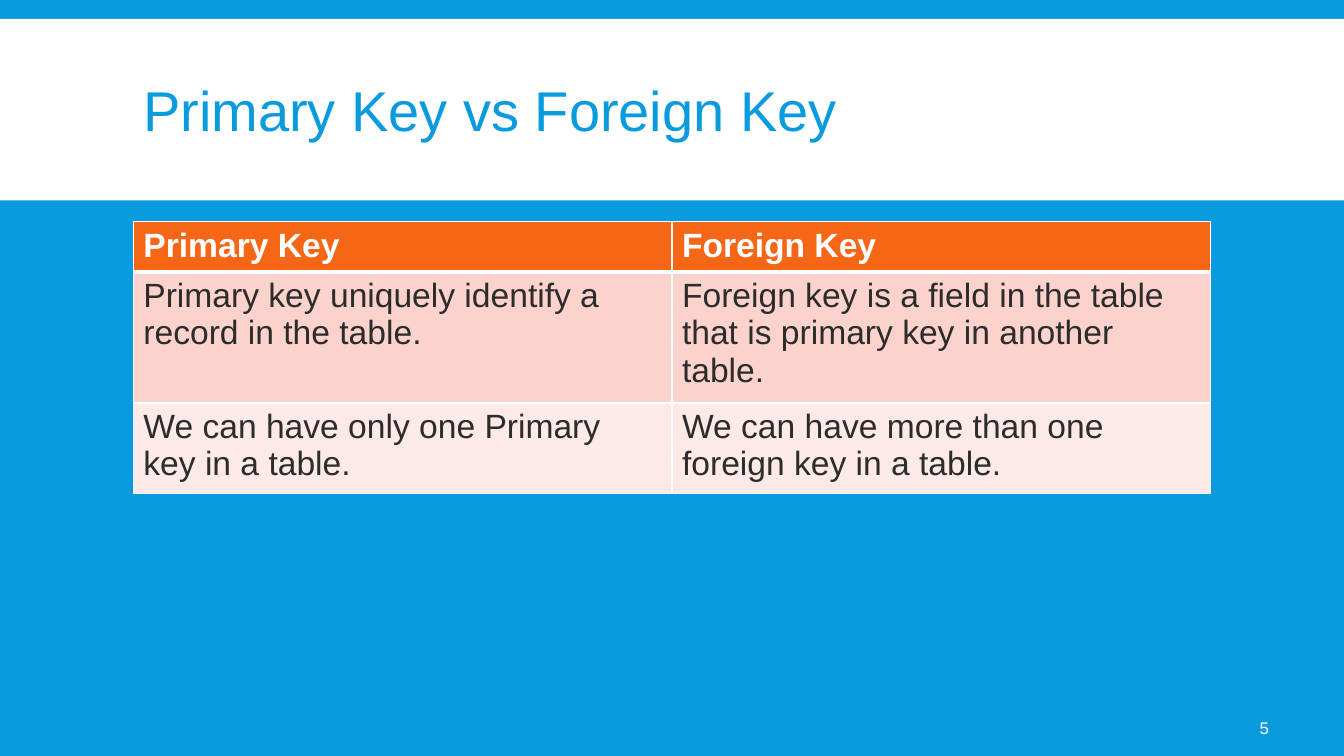
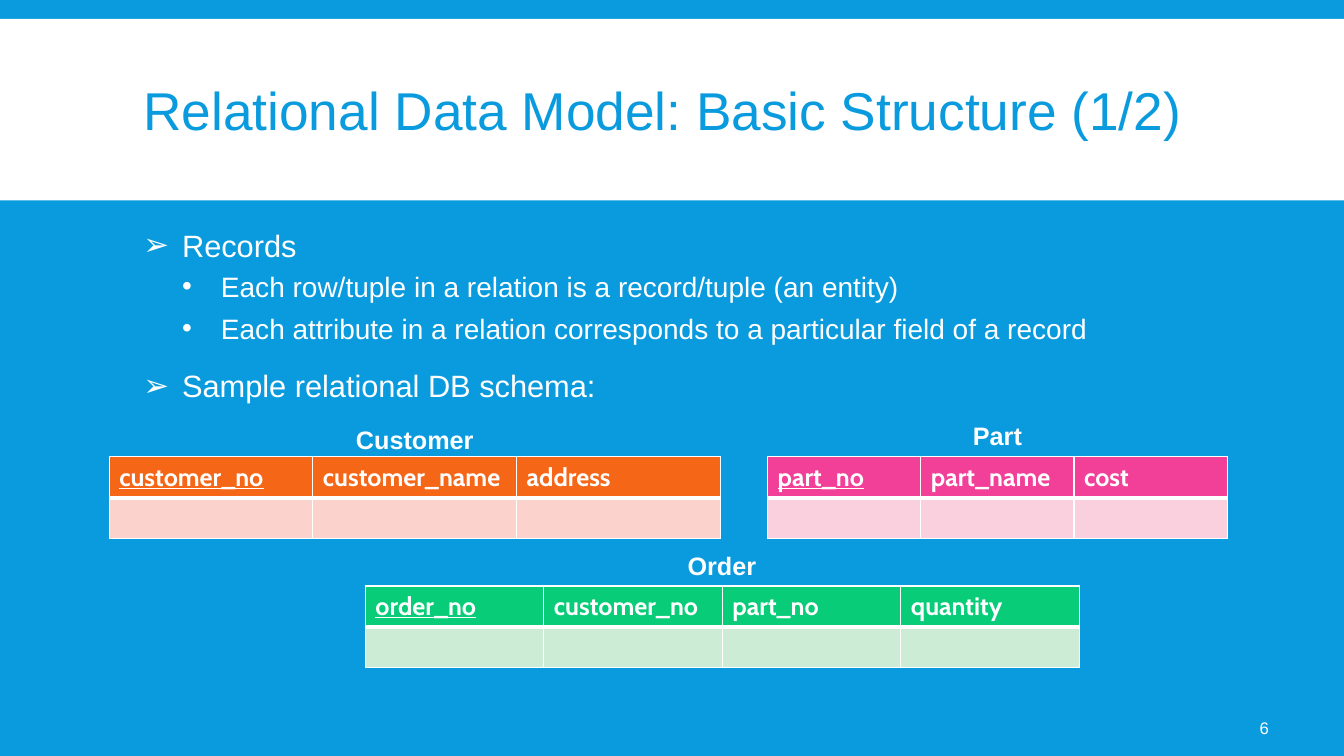
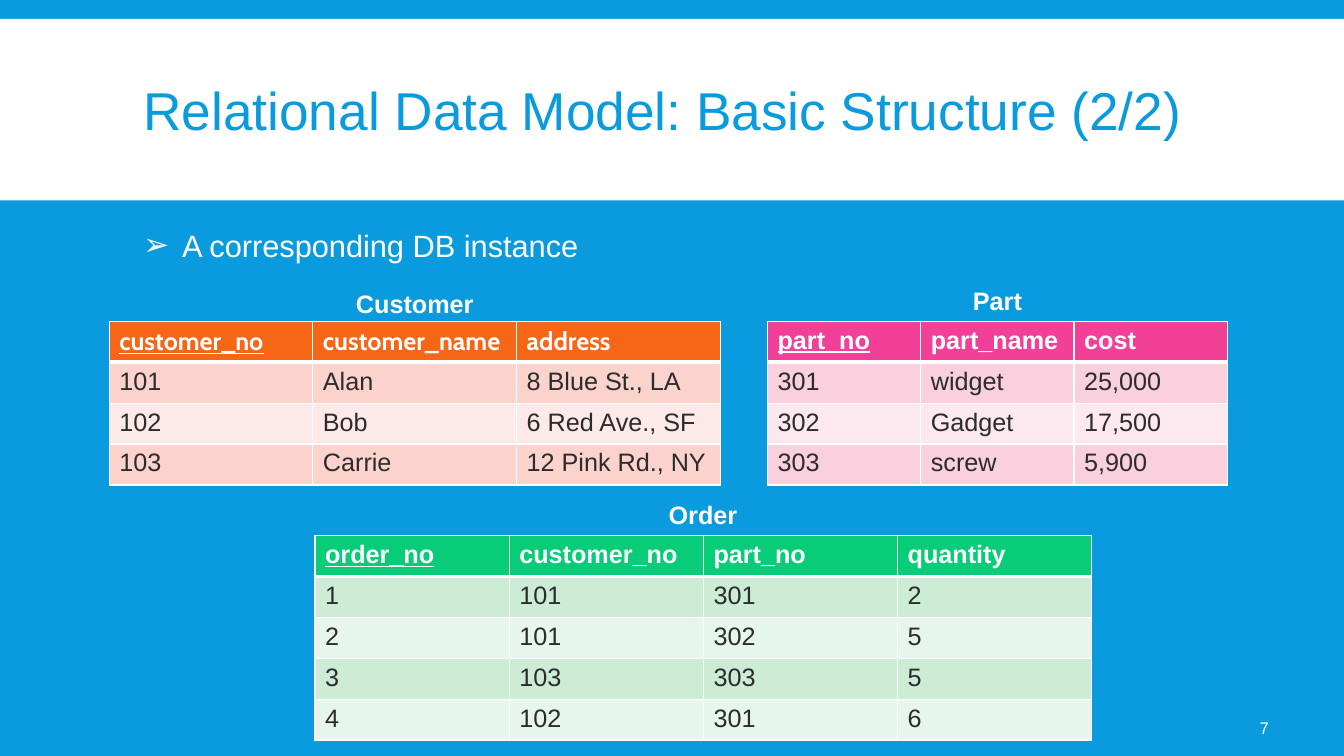
from lxml import etree
from pptx import Presentation
from pptx.dml.color import RGBColor
from pptx.enum.shapes import MSO_SHAPE
from pptx.enum.text import MSO_ANCHOR, PP_ALIGN
from pptx.oxml.ns import qn
from pptx.util import Pt

PX = 9525  # EMU per px, 96 px to the inch

BLUE = RGBColor(0x09, 0x9B, 0xDD)
WHITE = RGBColor(0xFF, 0xFF, 0xFF)
INK = RGBColor(0x2C, 0x2C, 0x2C)
# Table themes: header, odd row, even row
ORANGE = (RGBColor(0xF5, 0x66, 0x17), RGBColor(0xFB, 0xD3, 0xCC), RGBColor(0xFD, 0xEA, 0xE8))
PINK = (RGBColor(0xF2, 0x40, 0x99), RGBColor(0xFA, 0xCF, 0xDE), RGBColor(0xFC, 0xE8, 0xEF))
GREEN = (RGBColor(0x08, 0xCC, 0x78), RGBColor(0xCC, 0xEC, 0xD6), RGBColor(0xE7, 0xF6, 0xEC))

BAND_BOX = (0, 18, 1280, 173)
TITLE_BOX = (127, 30, 1027, 158)
BODY_BOX = (127, 211, 1027, 442)
NUMBER_BOX = (1119, 674, 99, 38)
ROW_HEIGHT = 39
LABEL_HEIGHT = 38
INDENT = 37

# Bullet levels: glyph, size, space before, space after
LEVELS = (("➢", 22, 12, 2), ("•", 20, 2, 4))

# Relations: theme, label width, label rise above the table, column names
RELATIONS = {
    "Customer": (ORANGE, 132, 36, ["customer_no", "customer_name", "address"]),
    "Part": (PINK, 66, 39, ["part_no", "part_name", "cost"]),
    "Order": (GREEN, 85, 39, ["order_no", "customer_no", "part_no", "quantity"]),
}


def emu(*lengths):
    return [length * PX for length in lengths]


def assign(target, values):
    for name, value in values.items():
        setattr(target, name, value)


def write(paragraph, text, size, color, font="Arial", **formats):
    run = paragraph.add_run()
    run.text = text
    assign(run.font, {"name": font, "size": Pt(size), **formats})
    run.font.color.rgb = color


def add_text_frame(slide, box, **formats):
    frame = slide.shapes.add_textbox(*emu(*box)).text_frame
    assign(frame, {"word_wrap": True, **formats})
    return frame


def add_base(presentation, title, size, number):
    """Background, title band, title and slide number."""
    slide = presentation.slides.add_slide(presentation.slide_layouts[6])
    slide.background.fill.solid()
    slide.background.fill.fore_color.rgb = BLUE

    band = slide.shapes.add_shape(MSO_SHAPE.RECTANGLE, *emu(*BAND_BOX))
    band.shadow.inherit = False
    band.fill.solid()
    band.fill.fore_color.rgb = WHITE
    band.line.fill.background()

    heading = add_text_frame(slide, TITLE_BOX, vertical_anchor=MSO_ANCHOR.MIDDLE).paragraphs[0]
    heading.line_spacing = 0.85
    write(heading, title, size, BLUE)

    footer = add_text_frame(slide, NUMBER_BOX, vertical_anchor=MSO_ANCHOR.MIDDLE,
                            margin_left=5 * PX).paragraphs[0]
    footer.alignment = PP_ALIGN.RIGHT
    write(footer, str(number), 12, WHITE)
    return slide


def set_bullet(paragraph, level, glyph):
    properties = paragraph._p.get_or_add_pPr()
    properties.set("marL", str((level + 1) * INDENT * PX))
    properties.set("indent", str(-INDENT * PX))
    color = etree.SubElement(properties, qn("a:buClr"))
    etree.SubElement(color, qn("a:srgbClr"), val=str(WHITE))
    etree.SubElement(properties, qn("a:buFont"), typeface="Arial")
    etree.SubElement(properties, qn("a:buChar"), char=glyph)


def add_bullets(slide, box, items):
    """Bulleted list of (level, text) items."""
    frame = add_text_frame(slide, box)
    for index, (level, text) in enumerate(items):
        paragraph = frame.add_paragraph() if index else frame.paragraphs[0]
        glyph, size, before, after = LEVELS[level]
        assign(paragraph, {"level": level, "space_before": Pt(before), "space_after": Pt(after)})
        set_bullet(paragraph, level, glyph)
        write(paragraph, text, size, WHITE)


def set_borders(cell, row_index):
    properties = cell._tc.get_or_add_tcPr()
    widths = {"lnL": 1, "lnR": 1, "lnT": 3 if row_index == 1 else 1,
              "lnB": 3 if row_index == 0 else 1}
    for position, (side, width) in enumerate(widths.items()):
        line = etree.Element(qn("a:" + side), w=str(Pt(width)))
        fill = etree.SubElement(line, qn("a:solidFill"))
        etree.SubElement(fill, qn("a:srgbClr"), val=str(WHITE))
        properties.insert(position, line)


def add_grid(slide, left, top, column_width, rows, theme, size=18, header_font="Arial",
             key_column=None):
    """Table with a coloured header and alternating rows; the key's name is underlined."""
    columns = len(rows[0])
    box = (left, top, columns * column_width, len(rows) * ROW_HEIGHT)
    table = slide.shapes.add_table(len(rows), columns, *emu(*box)).table
    assign(table, {"first_row": False, "horz_banding": False})
    for row_index, row in enumerate(rows):
        header = row_index == 0
        for column_index, text in enumerate(row):
            cell = table.cell(row_index, column_index)
            cell.fill.solid()
            cell.fill.fore_color.rgb = theme[0] if header else theme[2 - row_index % 2]
            set_borders(cell, row_index)
            if text:
                write(cell.text_frame.paragraphs[0], text, size, WHITE if header else INK,
                      font=header_font if header else "Arial", bold=header,
                      underline=header and column_index == key_column)


def add_relation(slide, name, left, top, column_width, records=None, header_font="Arial"):
    """Relation table with its name centred above; one empty row without records."""
    theme, label_width, rise, fields = RELATIONS[name]
    rows = [fields] + (records or [[""] * len(fields)])
    add_grid(slide, left, top, column_width, rows, theme, header_font=header_font, key_column=0)
    label_left = left + (len(fields) * column_width - label_width) // 2
    label = add_text_frame(slide, (label_left, top - rise, label_width, LABEL_HEIGHT),
                           word_wrap=False).paragraphs[0]
    label.alignment = PP_ALIGN.CENTER
    write(label, name, 18, WHITE, bold=True)


def build_keys(presentation):
    slide = add_base(presentation, "Primary Key vs Foreign Key", 40, 5)
    rows = [
        ["Primary Key", "Foreign Key"],
        ["Primary key uniquely identify a record in the table.",
         "Foreign key is a field in the table that is primary key in another table."],
        ["We can have only one Primary key in a table.",
         "We can have more than one foreign key in a table."],
    ]
    left, top, width, _ = BODY_BOX
    add_grid(slide, left, top, width // 2, rows, ORANGE, size=24)


def build_schema(presentation):
    slide = add_base(presentation, "Relational Data Model: Basic Structure (1/2)", 38, 6)
    add_bullets(slide, BODY_BOX, [
        (0, "Records"),
        (1, "Each row/tuple in a relation is a record/tuple (an entity)"),
        (1, "Each attribute in a relation corresponds to a particular field of a record"),
        (0, "Sample relational DB schema:"),
    ])
    for name, left, top, column_width in (("Customer", 104, 435, 194), ("Part", 731, 435, 146),
                                          ("Order", 348, 558, 170)):
        add_relation(slide, name, left, top, column_width, header_font="Cabin")


def build_instance(presentation):
    slide = add_base(presentation, "Relational Data Model: Basic Structure (2/2)", 38, 7)
    add_bullets(slide, BODY_BOX, [(0, "A corresponding DB instance")])
    customers = [["101", "Alan", "8 Blue St., LA"], ["102", "Bob", "6 Red Ave., SF"],
                 ["103", "Carrie", "12 Pink Rd., NY"]]
    parts = [["301", "widget", "25,000"], ["302", "Gadget", "17,500"], ["303", "screw", "5,900"]]
    orders = [["1", "101", "301", "2"], ["2", "101", "302", "5"],
              ["3", "103", "303", "5"], ["4", "102", "301", "6"]]
    add_relation(slide, "Customer", 104, 306, 194, customers, header_font="Cabin")
    add_relation(slide, "Part", 731, 306, 146, parts)
    add_relation(slide, "Order", 300, 510, 185, orders)


def main():
    presentation = Presentation()
    assign(presentation, {"slide_width": 1280 * PX, "slide_height": 720 * PX})
    for build in (build_keys, build_schema, build_instance):
        build(presentation)
    presentation.save("out.pptx")


if __name__ == "__main__":
    main()
